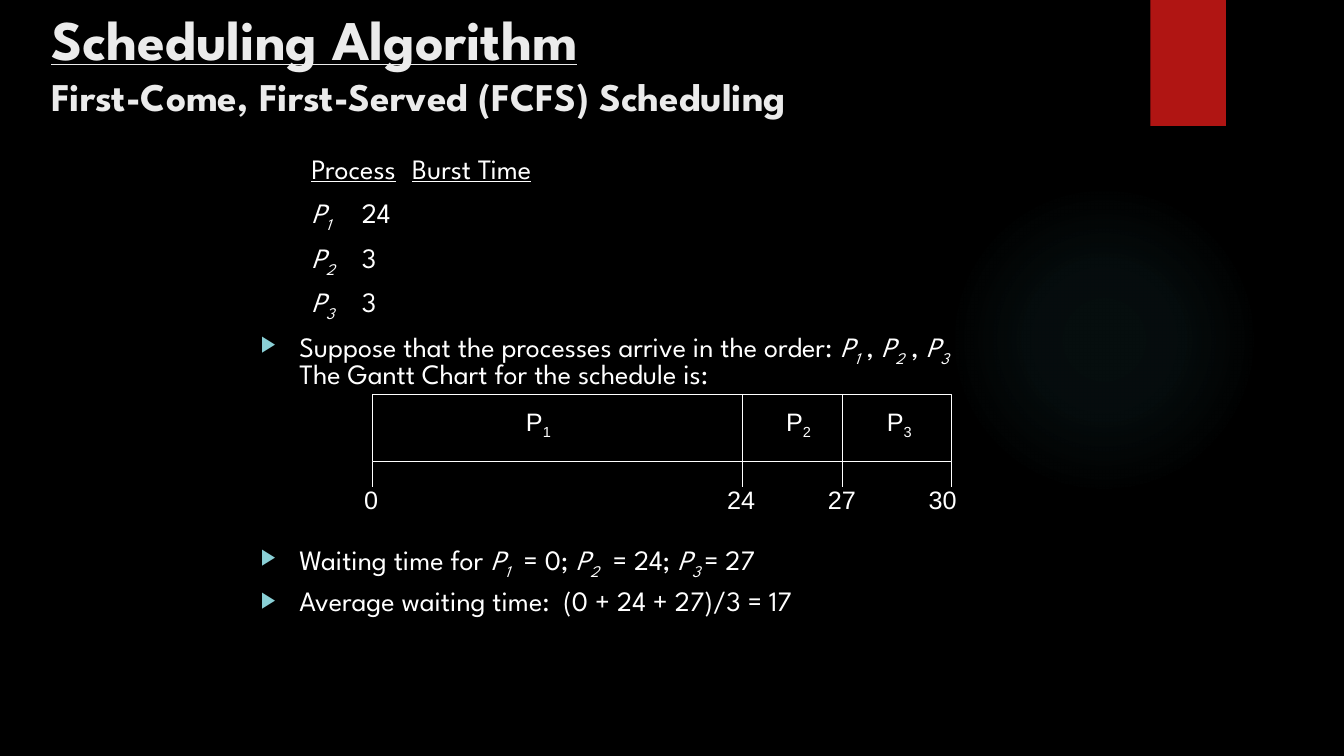
from lxml import etree
from pptx import Presentation
from pptx.dml.color import RGBColor
from pptx.enum.shapes import MSO_CONNECTOR, MSO_SHAPE
from pptx.enum.text import MSO_ANCHOR, PP_ALIGN
from pptx.oxml import parse_xml
from pptx.oxml.ns import nsdecls, qn
from pptx.util import Inches, Pt

STRAIGHT = MSO_CONNECTOR.STRAIGHT
RECTANGLE, OVAL = MSO_SHAPE.RECTANGLE, MSO_SHAPE.OVAL
TOP, MIDDLE = MSO_ANCHOR.TOP, MSO_ANCHOR.MIDDLE
LEFT, CENTER = PP_ALIGN.LEFT, PP_ALIGN.CENTER

COLORS = {"back": "000000", "white": "FFFFFF", "title": "EBEBEB",
          "ribbon": "B01513", "bullet": "8AD0D6", "glow": "50B9C1"}
HEADING, LABEL = "League Spartan", "Arial"

# Content: spans are (text, style); a "name" is a letter and its subscript
TITLE = [
    ("Scheduling Algorithm", {"size": Pt(40), "underline": True}),
    ("First-Come, First-Served (FCFS) Scheduling", {"size": Pt(28)}),
]
# Body lines: spans, tab stops in inches, bullet, points before
BODY = [
    ([("\t", "plain"), ("Process", "under"), ("\t", "plain"),
      ("Burst Time", "under")], (0.88, 1.87), False, 0),
    ([("\t", "plain"), ("P1", "name"), ("\t24", "plain")], (0.96, 1.38), False, 10),
    ([("\t", "plain"), ("P2", "name"), ("\t3", "plain")], (0.96, 1.38), False, 10),
    ([("\t", "plain"), ("P3", "name"), ("\t3", "plain")], (0.96, 1.42), False, 10),
    ([("Suppose that the processes arrive in the order: ", "plain"),
      ("P1", "name"), (" , ", "plain"), ("P2", "name"), (" , ", "plain"),
      ("P3", "name")], (), True, 10),
    ([("The Gantt Chart for the schedule is:", "plain")], (), False, 0),
    ([("Waiting time for ", "plain"), ("P1", "name"), ("  = 0; ", "plain"),
      ("P2", "name"), ("  = 24; ", "plain"), ("P3 ", "name"),
      ("= 27", "plain")], (), True, 111),
    ([("Average waiting time:  (0 + 24 + 27)/3 = 17", "plain")], (), True, 10),
]
STYLES = {"plain": {}, "under": {"underline": True}, "name": {"italic": True}}
# Gantt chart: (time, tick position, label centre) and (process, label centre)
TIMES = [("0", 3.69, 3.68), ("24", 7.36, 7.35), ("27", 8.36, 8.35), ("30", 9.44, 9.35)]
PROCESSES = [("P1", 5.34), ("P2", 7.92), ("P3", 8.92)]
BAR_TOP, BAR_BOTTOM, TICK_END = 3.91, 4.58, 4.83
LABEL_WIDTH, LABEL_HEIGHT = 0.48, 0.4

deck = Presentation()
deck.slide_width, deck.slide_height = Inches(13.33), Inches(7.5)
page = deck.slides.add_slide(deck.slide_layouts[6])
page.background.fill.solid()
page.background.fill.fore_color.rgb = RGBColor.from_string(COLORS["back"])


def add_box(left, top, width, height, anchor=TOP, wrap=True):
    box = page.shapes.add_textbox(*map(Inches, (left, top, width, height)))
    frame = box.text_frame
    frame.word_wrap, frame.vertical_anchor = wrap, anchor
    return frame


def next_para(frame, index):
    return frame.add_paragraph() if index else frame.paragraphs[0]


def add_span(para, text, color="white", **formats):
    span = para.add_run()
    span.text = text
    for name, value in formats.items():
        setattr(span.font, name, value)
    span.font.color.rgb = RGBColor.from_string(COLORS[color])
    return span


def add_name(para, text, **formats):
    add_span(para, text[0], **formats)
    subscript = add_span(para, text[1:], **formats)
    subscript.font._element.set("baseline", "-25000")


def add_shape(kind, left, top, width, height, color, line=None):
    shape = page.shapes.add_shape(kind, *map(Inches, (left, top, width, height)))
    shape.shadow.inherit = False
    shape.fill.solid()
    shape.fill.fore_color.rgb = RGBColor.from_string(COLORS[color])
    if line:
        shape.line.color.rgb = RGBColor.from_string(COLORS[line])
        shape.line.width = Pt(0.75)
    else:
        shape.line.fill.background()
    return shape


def add_upright(x, top, bottom):
    line = page.shapes.add_connector(
        STRAIGHT, Inches(x), Inches(top), Inches(x), Inches(bottom))
    line.line.color.rgb = RGBColor.from_string(COLORS["white"])
    line.line.width = Pt(0.75)
    etree.SubElement(line._element.spPr, qn("a:effectLst"))


def format_line(para, stops, bullet):
    """Set the indent, bullet and tab stops of a body line."""
    props = para._p.get_or_add_pPr()
    indent = 0 if stops else Inches(0.38)
    props.set("marL", str(indent))
    props.set("indent", str(-indent if bullet else 0))
    if bullet:
        color = etree.SubElement(props, qn("a:buClr"))
        etree.SubElement(color, qn("a:srgbClr"), val=COLORS["bullet"])
        etree.SubElement(props, qn("a:buSzPct"), val="80000")
        etree.SubElement(props, qn("a:buFont"), typeface=LABEL)
        etree.SubElement(props, qn("a:buChar"), char="▶")
    else:
        etree.SubElement(props, qn("a:buNone"))
    if stops:
        tabs = etree.SubElement(props, qn("a:tabLst"))
        for stop in stops:
            etree.SubElement(tabs, qn("a:tab"), pos=str(Inches(stop)), algn="l")


# Soft glow and red ribbon
glow = add_shape(OVAL, 9.41, 1.83, 3.08, 3.08, "glow")
glow_stops = "".join(
    f'<a:gs pos="{place}000"><a:srgbClr val="{COLORS["glow"]}">'
    f'<a:alpha val="{alpha}000"/></a:srgbClr></a:gs>'
    for place, alpha in [(0, 7), (36, 6), (69, 0), (100, 0)])
gradient = parse_xml(
    f'<a:gradFill {nsdecls("a")} rotWithShape="1"><a:gsLst>{glow_stops}</a:gsLst>'
    '<a:path path="circle"><a:fillToRect l="50000" t="50000" r="50000" b="50000"/>'
    '</a:path></a:gradFill>')
solid = glow._element.spPr.find(qn("a:solidFill"))
solid.getparent().replace(solid, gradient)
add_shape(RECTANGLE, 11.41, 0, 0.75, 1.25, "ribbon")

# Title
title = add_box(0.41, 0, 11.1, 1.52)
for index, (text, formats) in enumerate(TITLE):
    add_span(next_para(title, index), text, "title", name=HEADING, bold=True, **formats)

# Body text
body = add_box(2.49, 1.52, 8.27, 4.5)
for index, (spans, stops, bullet, before) in enumerate(BODY):
    para = next_para(body, index)
    format_line(para, stops, bullet)
    para.alignment, para.line_spacing, para.space_before = LEFT, 0.8, Pt(before)
    for text, style in spans:
        add = add_name if style == "name" else add_span
        add(para, text, name=HEADING, size=Pt(20), **STYLES[style])

# Gantt chart bar, dividers and ticks
first, last = TIMES[0][1], TIMES[-1][1]
add_shape(RECTANGLE, first, BAR_TOP, last - first, BAR_BOTTOM - BAR_TOP, "back", "white")
for _, x, _ in TIMES:
    add_upright(x, BAR_BOTTOM, TICK_END)
for _, x, _ in TIMES[1:-1]:
    add_upright(x, BAR_TOP, BAR_BOTTOM)

# Gantt chart labels
labels = [(text, center, 4, add_name) for text, center in PROCESSES]
labels += [(text, center, 4.75, add_span) for text, _, center in TIMES]
for text, center, top, add in labels:
    frame = add_box(center - LABEL_WIDTH / 2, top, LABEL_WIDTH, LABEL_HEIGHT, MIDDLE, False)
    frame.paragraphs[0].alignment = CENTER
    add(frame.paragraphs[0], text, name=LABEL, size=Pt(18))

deck.save("out.pptx")
